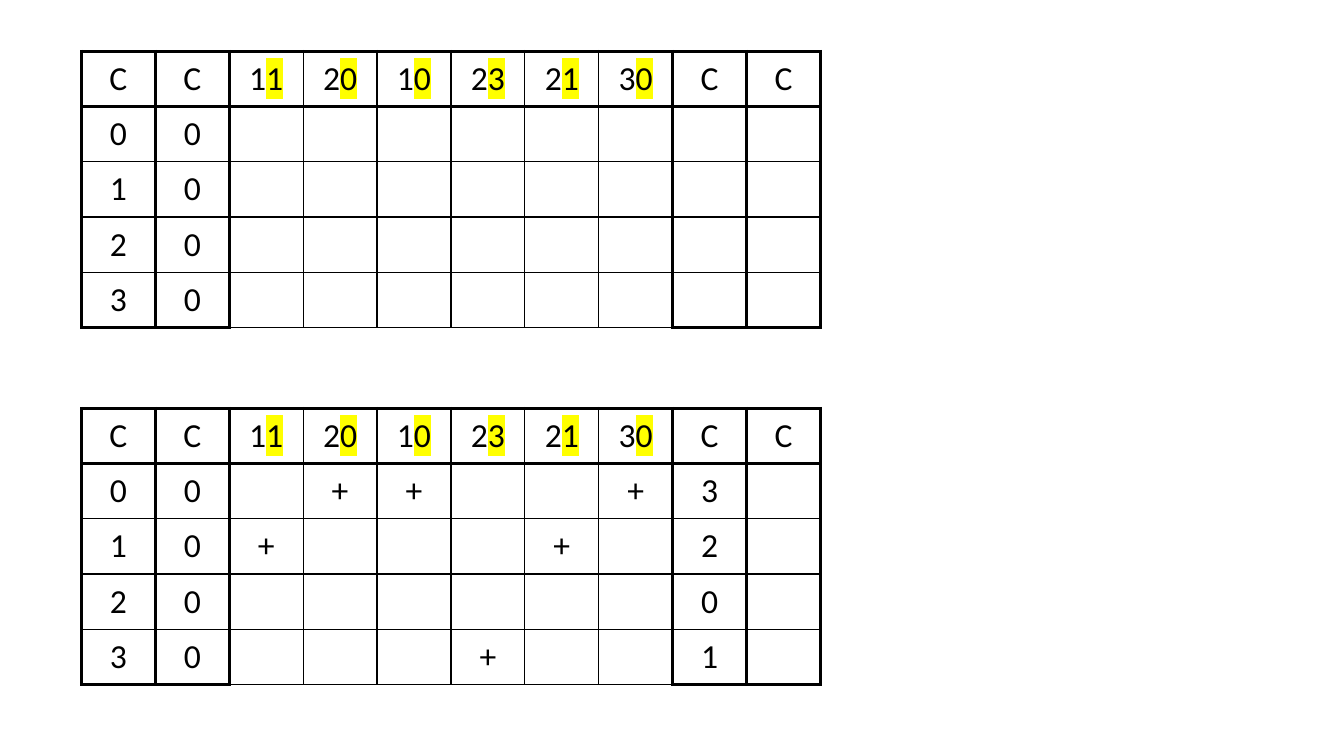
from lxml.etree import SubElement
from pptx import Presentation
from pptx.dml.color import RGBColor
from pptx.enum.text import MSO_ANCHOR, PP_ALIGN
from pptx.oxml import parse_xml
from pptx.oxml.ns import nsdecls, qn
from pptx.util import Emu, Pt

LEFT, COLUMN, ROW = 194, 176, 129
THICK, THIN = 2.25, 1
BLACK, YELLOW = "000000", "FFFF00"

HEADER = ["C", "C", "11", "20", "10", "23", "21", "30", "C", "C"]
CODES = range(2, 8)
THICK_VERTICALS = {0, 1, 2, 8, 9, 10}
PLUS_COLUMNS = {0: [3, 4, 7], 1: [2, 6], 3: [5]}
COUNTS = ["3", "2", "0", "1"]


def px(length):
    return Emu(length * 3810)


def color(hex_code):
    return RGBColor.from_string(hex_code)


def add_border(cell, side, width):
    properties = cell._tc.get_or_add_tcPr()
    line = SubElement(properties, qn(f"a:ln{side}"), w=str(Pt(width)))
    fill = SubElement(line, qn("a:solidFill"))
    SubElement(fill, qn("a:srgbClr"), val=BLACK)


def highlight(span, hex_code):
    fill = span._r.rPr.find(qn("a:solidFill"))
    fill.addnext(parse_xml(
        f'<a:highlight {nsdecls("a")}><a:srgbClr val="{hex_code}"/></a:highlight>'))


def horizontal_width(edge, column, row_count):
    """The header is thick all round; the bottom edge is thin below the codes."""
    if edge < 2 or (edge == row_count and column not in CODES):
        return THICK
    return THIN


def fill_cell(cell, text):
    """Write centred text, with the second digit of a code highlighted."""
    cell.margin_left = cell.margin_right = px(31)
    cell.margin_top = cell.margin_bottom = px(17)
    cell.vertical_anchor = MSO_ANCHOR.MIDDLE
    cell.fill.background()
    para = cell.text_frame.paragraphs[0]
    para.alignment = PP_ALIGN.CENTER
    for position, character in enumerate(text):
        span = para.add_run()
        span.text = character
        span.font.size = Pt(24)
        span.font.name = "Calibri"
        span.font.color.rgb = color(BLACK)
        if position == 1:
            highlight(span, YELLOW)


def add_counting_table(page, top, rows):
    row_count, column_count = len(rows), len(HEADER)
    table = page.shapes.add_table(
        row_count, column_count, px(LEFT), px(top),
        px(COLUMN * column_count), px(ROW * row_count)).table
    table.first_row = table.horz_banding = False
    for row, texts in enumerate(rows):
        for column, text in enumerate(texts):
            cell = table.cell(row, column)
            for side, edge in (("L", column), ("R", column + 1)):
                add_border(cell, side, THICK if edge in THICK_VERTICALS else THIN)
            for side, edge in (("T", row), ("B", row + 1)):
                add_border(cell, side, horizontal_width(edge, column, row_count))
            fill_cell(cell, text)


def digit_row(digit, plus_columns=(), count=""):
    marks = ["+" if column in plus_columns else "" for column in CODES]
    return [str(digit), "0", *marks, count, ""]


def main():
    deck = Presentation()
    deck.slide_width, deck.slide_height = px(3200), px(1800)
    page = deck.slides.add_slide(deck.slide_layouts[6])
    empty_rows = [digit_row(digit) for digit in range(4)]
    counted_rows = [digit_row(digit, PLUS_COLUMNS.get(digit, ()), count)
                    for digit, count in enumerate(COUNTS)]
    add_counting_table(page, 122, [HEADER, *empty_rows])
    add_counting_table(page, 972, [HEADER, *counted_rows])
    deck.save("out.pptx")


if __name__ == "__main__":
    main()
